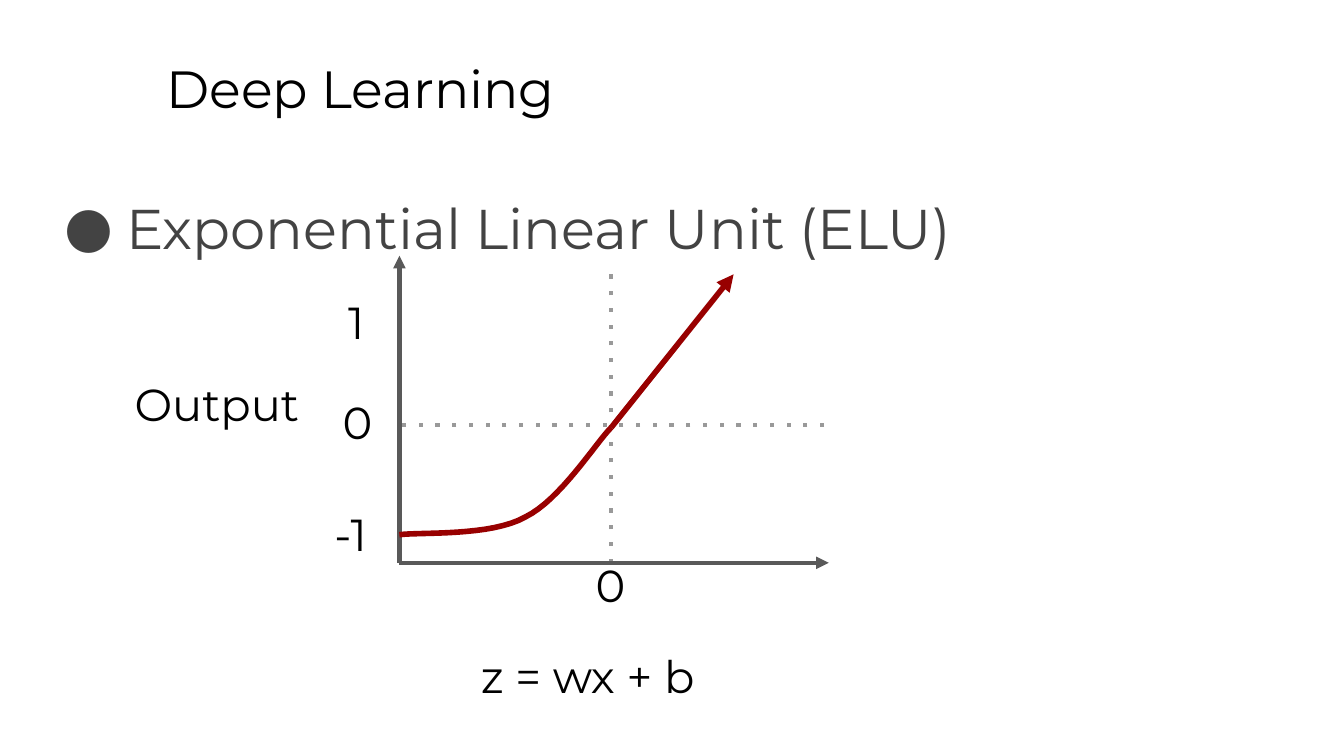
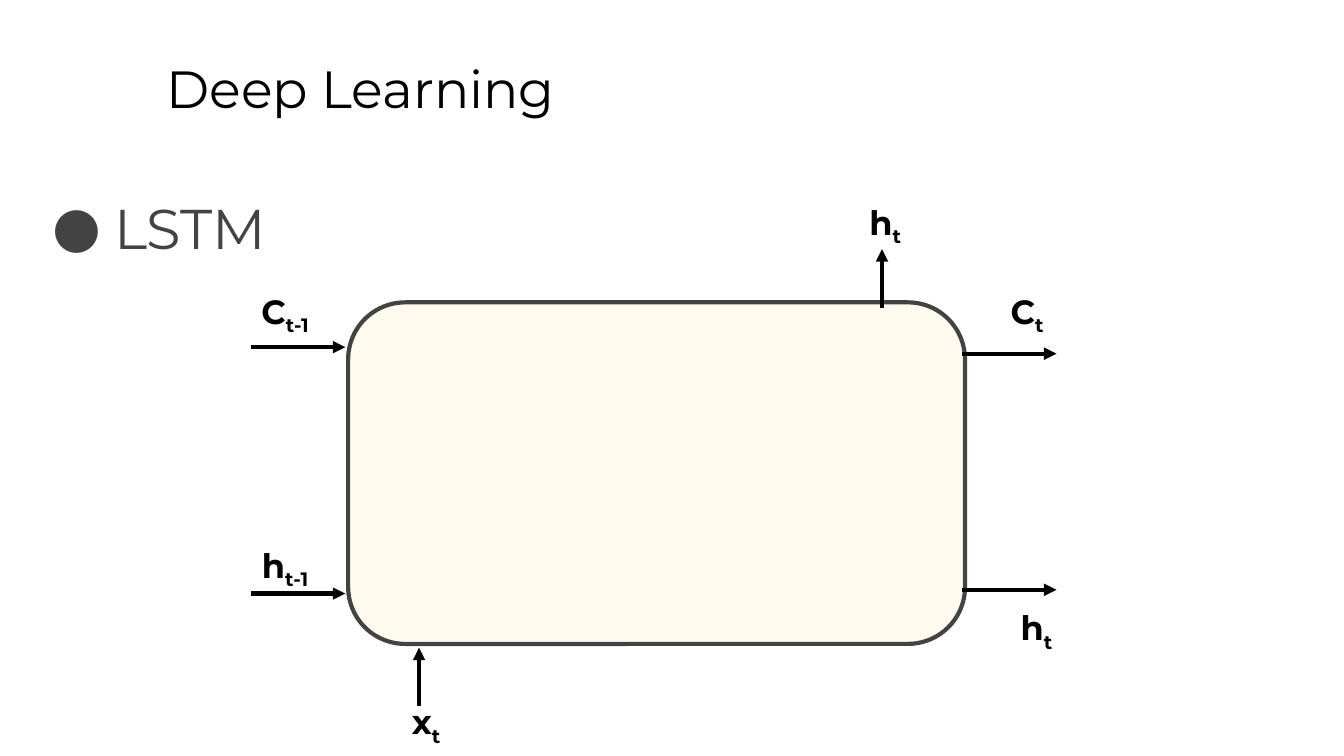
"""Build two deep learning slides: the ELU activation curve and the LSTM cell."""
from lxml import etree
from pptx import Presentation
from pptx.dml.color import RGBColor
from pptx.enum.shapes import MSO_CONNECTOR, MSO_SHAPE
from pptx.enum.text import MSO_ANCHOR, MSO_AUTO_SIZE, PP_ALIGN
from pptx.oxml.ns import qn
from pptx.util import Pt

STRAIGHT = MSO_CONNECTOR.STRAIGHT
ROUNDED = MSO_SHAPE.ROUNDED_RECTANGLE
TOP, NO_FIT = MSO_ANCHOR.TOP, MSO_AUTO_SIZE.NONE
LEFT, CENTER = PP_ALIGN.LEFT, PP_ALIGN.CENTER

FONT = "Montserrat"
BLACK, BODY, AXIS, GUIDE, CURVE, CREAM = (
    "000000", "434343", "595959", "999999", "980000", "FFFCEF")
TITLE = "Deep Learning"
TITLE_BOX = (82, 23, 613.5, 45.5)
TITLE_STYLE = {"size": Pt(28), "bold": False}
BODY_STYLE = {"size": Pt(30)}
AXIS_STYLE = {"size": Pt(24)}
SIGNAL_STYLE = {"size": Pt(18), "bold": True}

ELU = ("Exponential Linear Unit (ELU)", (24.5, 91, 685, 40))
LSTM = ("LSTM", (18, 91, 702, 68))

ORIGIN_X, ORIGIN_Y = 214, 301.5
ZERO_X, ZERO_Y = 327.5, 227.5
GUIDES = [
    ((ZERO_X, ORIGIN_Y), (ZERO_X, 142)),
    ((441.5, ZERO_Y), (ORIGIN_X, ZERO_Y)),
]
AXES = [
    ((ORIGIN_X, ORIGIN_Y), (ORIGIN_X, 137)),
    ((ORIGIN_X, ORIGIN_Y), (444, ORIGIN_Y)),
]
AXIS_LABELS = [
    ("z = wx + b", 250.5, 340.5, 174),
    ("Output", 65, 194.5, 116.5),
    ("1", 179.5, 150.5, 116.5),
    ("0", 176.5, 204, 116.5),
    ("-1", 172, 264, 116.5),
    ("0", 312, 291.5, 39),
]
BEND = (ZERO_X, 229)
BEZIERS = [
    ((ORIGIN_X, 286.5), (225.5, 285), (263, 287.5), (281.5, 277)),
    ((281.5, 277), (300, 268), (319.5, 237), BEND),
]
CURVE_TIP = (393, 147)
CURVE_STEPS = 16

CELL = (186.5, 162, 330.5, 183)
ARROW_X, ARROW_Y = 50.5, 31.5
SIGNALS = [
    ("C", "t-1", (127.5, 148.5), (134.5, 186), (ARROW_X, 0)),
    ("h", "t-1", (127.5, 284.5), (134.5, 318), (ARROW_X, 0)),
    ("C", "t", (525, 148.5), (515.5, 189.5), (ARROW_X, 0)),
    ("h", "t", (530, 318), (515.5, 316), (ARROW_X, 0)),
    ("h", "t", (449, 101), (472.5, 165), (0, -ARROW_Y)),
    ("x", "t", (203, 368.5), (224.5, 378.5), (0, -ARROW_Y)),
]


def points(values):
    """Turn numbers into lengths in points."""
    return [Pt(value) for value in values]


def color(value):
    """Turn a hex string into a colour."""
    return RGBColor.from_string(value)


def add_child(parent, tag, **attributes):
    """Append an XML element with the given attributes."""
    return etree.SubElement(parent, qn(tag), attributes)


def style_line(shape, tone, width):
    """Set the colour and width of an outline."""
    shape.line.color.rgb = color(tone)
    shape.line.width = Pt(width)


def write_text(box, text, style, tone=BLACK, align=LEFT, subscript=""):
    """Write one formatted paragraph and return it."""
    frame = box.text_frame
    frame_values = {"word_wrap": True, "auto_size": NO_FIT, "vertical_anchor": TOP}
    for side in ("left", "top", "right", "bottom"):
        frame_values[f"margin_{side}"] = Pt(7.2)
    for name, value in frame_values.items():
        setattr(frame, name, value)
    para = frame.paragraphs[0]
    para.alignment = align
    for part in filter(None, (text, subscript)):
        span = para.add_run()
        span.text = part
        span.font.color.rgb = color(tone)
        for name, value in {"name": FONT, **style}.items():
            setattr(span.font, name, value)
    if subscript:
        span.font._element.set("baseline", "-25000")
    return para


def add_label(page, place, text, style, **options):
    """Add a text box with one paragraph."""
    box = page.shapes.add_textbox(*points(place))
    return write_text(box, text, style, **options)


def add_line(page, start, end, tone=BLACK, width=2.25, dotted=False):
    """Add a straight line, either dotted or with an arrowhead."""
    line = page.shapes.add_connector(STRAIGHT, *points(start + end))
    style_line(line, tone, width)
    properties = line._element.spPr
    outline = properties.find(qn("a:ln"))
    if dotted:
        add_child(outline, "a:prstDash", val="dot")
    else:
        add_child(outline, "a:tailEnd", type="triangle")
    add_child(properties, "a:effectLst")


def add_page(deck, text, place):
    """Add a slide with the shared title and one bullet."""
    page = deck.slides.add_slide(deck.slide_layouts[5])
    title = page.shapes.title
    for name, value in zip(("left", "top", "width", "height"), points(TITLE_BOX)):
        setattr(title, name, value)
    write_text(title, TITLE, TITLE_STYLE)
    para = add_label(page, place, text, BODY_STYLE, tone=BODY)
    para.line_spacing = 1.15
    properties = para._element.get_or_add_pPr()
    properties.set("marL", str(Pt(36)))
    properties.set("indent", str(-Pt(33)))
    add_child(add_child(properties, "a:buClr"), "a:srgbClr", val=BODY)
    add_child(properties, "a:buFont", typeface=FONT)
    add_child(properties, "a:buChar", char="●")
    return page


def bezier_point(corners, t):
    """Return the point at t on a cubic curve."""
    weights = ((1 - t) ** 3, 3 * t * (1 - t) ** 2, 3 * t ** 2 * (1 - t), t ** 3)
    return tuple(sum(w * value for w, value in zip(weights, axis))
                 for axis in zip(*corners))


def add_curve(page):
    """Draw the bent part of the activation function."""
    track = [points(bezier_point(corners, step / CURVE_STEPS))
             for corners in BEZIERS for step in range(1, CURVE_STEPS + 1)]
    builder = page.shapes.build_freeform(*points(BEZIERS[0][0]))
    builder.add_line_segments(track, close=False)
    curve = builder.convert_to_shape()
    curve.shadow.inherit = False
    curve.fill.background()
    style_line(curve, CURVE, 3)


def build_elu(deck):
    """Build the activation function slide."""
    page = add_page(deck, *ELU)
    for start, end in GUIDES:
        add_line(page, start, end, GUIDE, dotted=True)
    for start, end in AXES:
        add_line(page, start, end, AXIS)
    for text, left, top, width in AXIS_LABELS:
        add_label(page, (left, top, width, 39.5), text, AXIS_STYLE)
    add_curve(page)
    add_line(page, BEND, CURVE_TIP, CURVE, 3)


def build_lstm(deck):
    """Build the recurrent cell slide."""
    page = add_page(deck, *LSTM)
    cell = page.shapes.add_shape(ROUNDED, *points(CELL))
    cell.shadow.inherit = False
    cell.adjustments[0] = 0.167
    cell.fill.solid()
    cell.fill.fore_color.rgb = color(CREAM)
    style_line(cell, BODY, 2.25)
    for name, index, corner, (x, y), (across, down) in SIGNALS:
        add_line(page, (x, y), (x + across, y + down))
        add_label(page, (*corner, 50.5, 32.5), name, SIGNAL_STYLE,
                  align=CENTER, subscript=index)


def main():
    """Build and save the deck."""
    deck = Presentation()
    deck.slide_width, deck.slide_height = points((720, 405))
    build_elu(deck)
    build_lstm(deck)
    deck.save("out.pptx")


if __name__ == "__main__":
    main()
